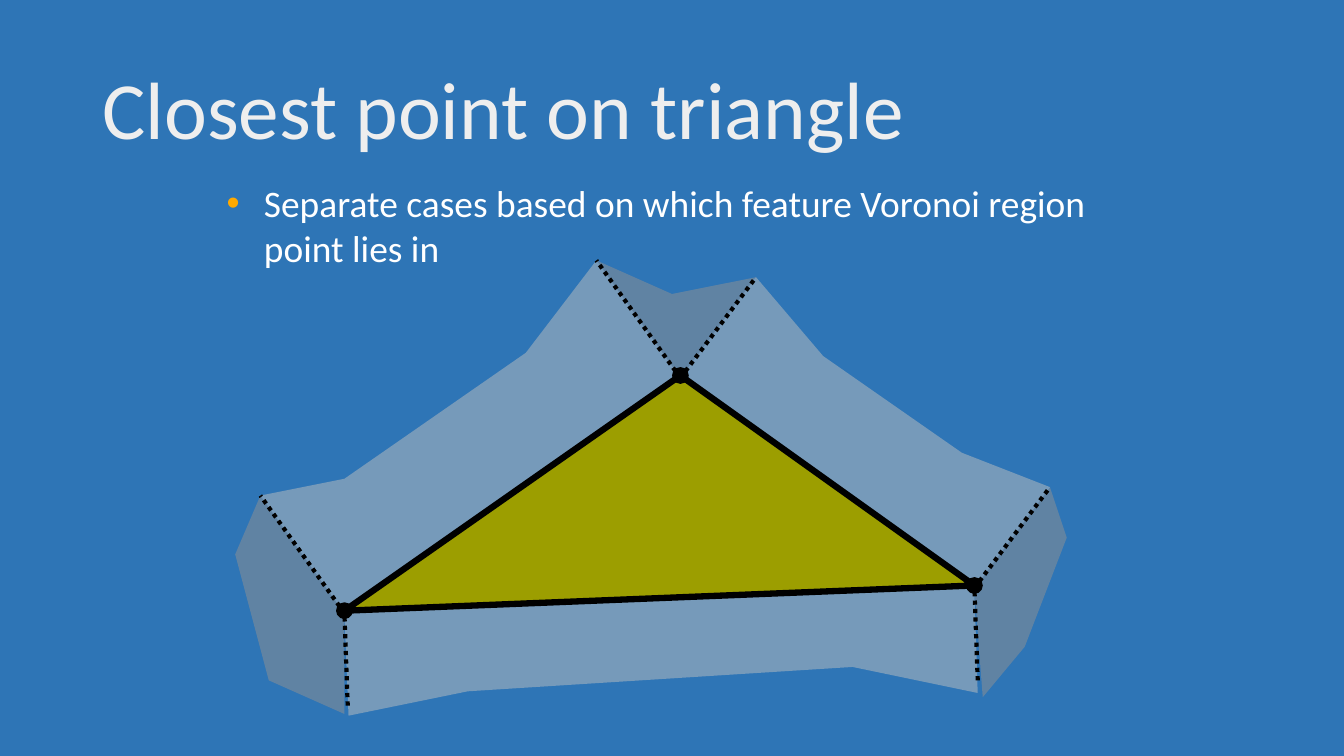
from dataclasses import dataclass

from lxml.etree import SubElement
from pptx import Presentation
from pptx.dml.color import RGBColor as Color
from pptx.enum.dml import MSO_LINE
from pptx.enum.shapes import MSO_CONNECTOR as Connector, MSO_SHAPE as Shape
from pptx.enum.text import MSO_ANCHOR as Anchor
from pptx.oxml.ns import qn
from pptx.util import Inches, Pt


@dataclass(frozen=True)
class Theme:
    font: str = "Calibri"
    background: str = "2E75B6"
    title: str = "EEEEEE"
    body: str = "FFFFFF"
    bullet: str = "FFA900"
    ink: str = "000000"
    triangle: str = "9C9E00"
    vertex_region: str = "929292"
    edge_region: str = "BFBFBF"
    title_size: float = 58
    body_size: float = 26.7
    edge_width: float = 4.5
    border_width: float = 3


class VoronoiSlide:
    COLUMNS, ROWS = 160, 90

    def __init__(self, presentation, theme):
        self.theme = theme
        self.column = presentation.slide_width / self.COLUMNS
        self.row = presentation.slide_height / self.ROWS
        self.slide = presentation.slides.add_slide(presentation.slide_layouts[6])
        self.shapes = self.slide.shapes
        self.paint(self.slide.background.fill, theme.background)

    def place(self, column, row):
        return round(column * self.column), round(row * self.row)

    def paint(self, fill, color, opacity=100):
        fill.solid()
        fill.fore_color.rgb = Color.from_string(color)
        if opacity < 100:
            rgb = fill._xPr.find(qn("a:solidFill"))[0]
            SubElement(rgb, qn("a:alpha"), val=str(opacity * 1000))

    def polygon(self, points, color, opacity=100, outlined=False):
        corners = [self.place(*point) for point in points]
        builder = self.shapes.build_freeform(*corners[0], scale=1.0)
        builder.add_line_segments(corners[1:], close=True)
        shape = builder.convert_to_shape()
        shape.shadow.inherit = False
        self.paint(shape.fill, color, opacity)
        if outlined:
            self.paint(shape.line.fill, self.theme.ink)
            shape.line.width = Pt(self.theme.edge_width)
        else:
            shape.line.fill.background()

    def dot(self, center, size=2):
        column, row = center
        corner = self.place(column - size / 2, row - size / 2)
        shape = self.shapes.add_shape(Shape.OVAL, *corner, *self.place(size, size))
        shape.shadow.inherit = False
        self.paint(shape.fill, self.theme.ink)
        shape.line.fill.background()

    def dotted_line(self, start, end):
        line = self.shapes.add_connector(
            Connector.STRAIGHT, *self.place(*start), *self.place(*end))
        self.paint(line.line.fill, self.theme.ink)
        line.line.width = Pt(self.theme.border_width)
        line.line.dash_style = MSO_LINE.ROUND_DOT
        SubElement(line._element.spPr, qn("a:effectLst"))

    def text(self, corner, extent, words, size, color, inset, anchor=Anchor.TOP):
        box = self.shapes.add_textbox(*self.place(*corner), *self.place(*extent))
        frame = box.text_frame
        frame.word_wrap = True
        frame.vertical_anchor = anchor
        frame.margin_left = frame.margin_right = Inches(inset)
        frame.margin_top = frame.margin_bottom = Inches(inset)
        paragraph = frame.paragraphs[0]
        paragraph.text = words
        paragraph.font.name = self.theme.font
        paragraph.font.size = Pt(size)
        paragraph.font.color.rgb = Color.from_string(color)
        return paragraph

    def title(self, words):
        paragraph = self.text((11, 4.8), (138, 17.4), words, self.theme.title_size,
                              self.theme.title, 0.1, Anchor.MIDDLE)
        paragraph.line_spacing = 0.9

    def bullet(self, words):
        paragraph = self.text((25.9, 21), (110.2, 11.8), words,
                              self.theme.body_size, self.theme.body, 0.04)
        properties = paragraph._p.get_or_add_pPr()
        properties.set("marL", str(Inches(0.42)))
        properties.set("indent", str(Inches(-0.37)))
        bullet_color = SubElement(properties, qn("a:buClr"))
        SubElement(bullet_color, qn("a:srgbClr"), val=self.theme.bullet)
        SubElement(properties, qn("a:buFont"), typeface="Arial")
        SubElement(properties, qn("a:buChar"), char="•")
        default_run = properties.find(qn("a:defRPr"))
        if default_run is not None:
            properties.append(default_run)


def main():
    presentation = Presentation()
    presentation.slide_width, presentation.slide_height = Inches(13.33), Inches(7.5)
    theme = Theme()
    slide = VoronoiSlide(presentation, theme)

    left, top, right = (41, 73), (81, 45), (116, 70)
    left_up, left_down = (31, 59), (41.5, 85.2)
    top_left, top_right = (71, 31), (90, 33)
    right_up, right_down = (125, 58), (116.4, 82.5)

    vertex_regions = [
        [left_up, left, (41, 85), (32, 81), (28, 66)],
        [right_up, right, (117, 83), (122, 77), (127, 64)],
        [top_left, top, top_right, (80, 35)],
    ]
    edge_regions = [
        [right, left, left_down, (55.7, 82.3), (101.5, 79.4), right_down],
        [top_right, top, right, right_up, (114.5, 53.9), (98, 42.4)],
        [top_left, top, left, left_up, (41, 57), (62.6, 42)],
    ]
    for regions, color in ((vertex_regions, theme.vertex_region),
                           (edge_regions, theme.edge_region)):
        for region in regions:
            slide.polygon(region, color, opacity=50)

    corners = [(column, row - 0.3) for column, row in (top, left, right)]
    slide.polygon(corners, theme.triangle, outlined=True)
    slide.title("Closest point on triangle")
    for corner in corners:
        slide.dot(corner)
    for start, end in (((41.4, 84), left), (top, top_left), (left, left_up),
                       (top, top_right), (right, right_up), ((116.4, 81), right)):
        slide.dotted_line(start, end)
    slide.bullet("Separate cases based on which feature Voronoi region point lies in")

    presentation.save("out.pptx")


if __name__ == "__main__":
    main()
